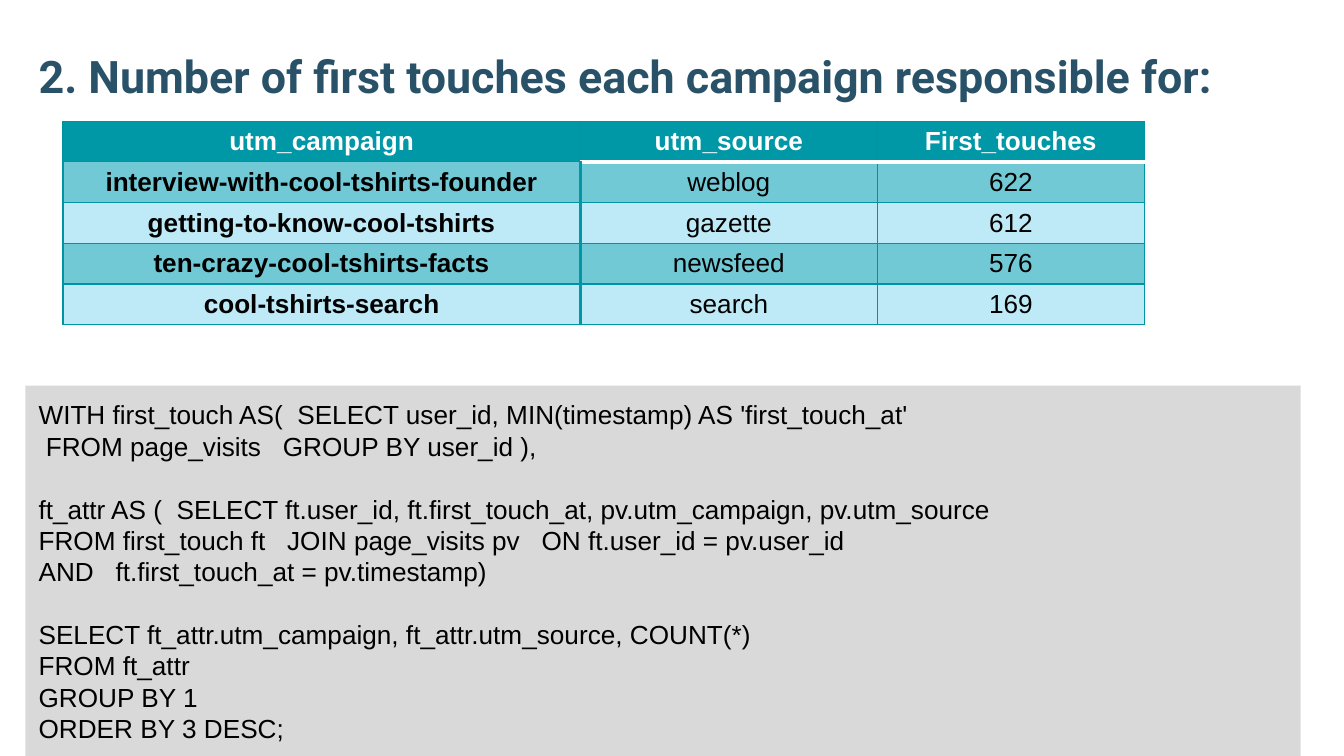
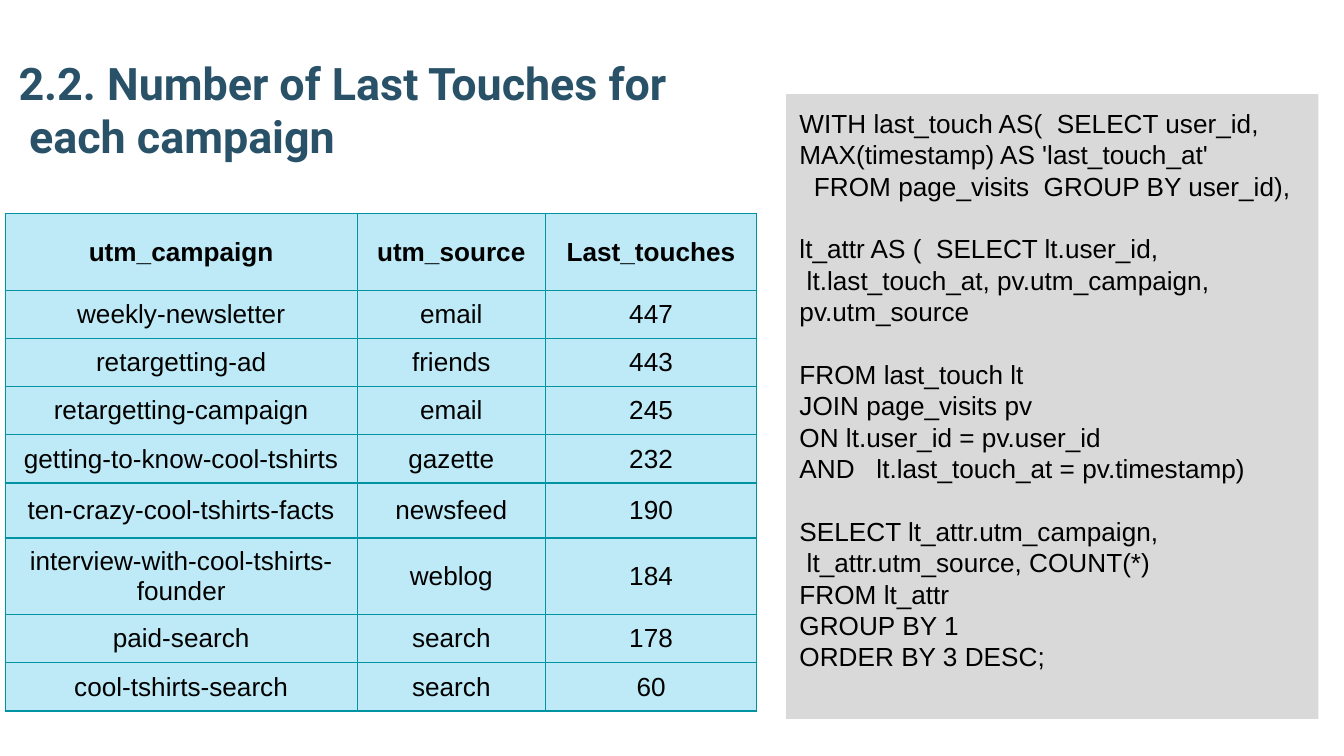
from dataclasses import dataclass
from typing import Any

from lxml.etree import SubElement
from pptx import Presentation
from pptx.dml.color import RGBColor
from pptx.enum.shapes import MSO_SHAPE
from pptx.enum.text import MSO_ANCHOR, MSO_AUTO_SIZE, PP_ALIGN
from pptx.oxml.ns import qn
from pptx.slide import Slide
from pptx.util import Cm, Pt

COLORS = {
    "title": "295269",
    "text": "000000",
    "white": "FFFFFF",
    "code": "D9D9D9",
    "header": "0097A7",
    "grid": "0094A3",
    "band": "71C9D5",
    "light": "BDEAF6",
}
TITLE_FONT = {"name": "Roboto", "size": Pt(24), "bold": True}
BODY_FONT = {"name": "Arial", "size": Pt(14), "bold": False}
PADDING = dict.fromkeys(
    ("margin_left", "margin_top", "margin_right", "margin_bottom"), Cm(0.25))
CODE_LINE = Pt(16.8)
THIN, THICK = Pt(0.75), Pt(2)


@dataclass
class Box:
    left: float
    top: float
    width: float
    height: float

    def lengths(self) -> tuple:
        return tuple(Cm(v) for v in (self.left, self.top, self.width, self.height))


@dataclass
class Title:
    box: Box
    lines: list[str]


@dataclass
class Code:
    box: Box
    text: str


@dataclass
class Grid:
    left: float
    top: float
    widths: list[float]
    heights: list[float]
    rows: list[tuple]
    banded: bool = False


@dataclass
class Page:
    title: Title
    grid: Grid
    code: Code


def rgb(name: str) -> RGBColor:
    return RGBColor.from_string(COLORS[name])


def apply(obj: Any, values: dict) -> None:
    """Set every attribute named in values on obj."""
    for name, value in values.items():
        setattr(obj, name, value)


def set_font(p: Any, values: dict, color: str) -> None:
    apply(p.font, values)
    p.font.color.rgb = rgb(color)


def add_title(s: Slide, title: Title) -> None:
    sp = s.shapes.title
    sp.left, sp.top, sp.width, sp.height = title.box.lengths()
    tf = sp.text_frame
    apply(tf, {**PADDING, "word_wrap": True, "auto_size": MSO_AUTO_SIZE.NONE,
               "vertical_anchor": MSO_ANCHOR.BOTTOM})
    tf.text = "\n".join(title.lines)
    for i, p in enumerate(tf.paragraphs):
        p.alignment = PP_ALIGN.LEFT
        if i:
            p._p.get_or_add_pPr().set("marL", str(Cm(0.2)))
        set_font(p, TITLE_FONT, "title")


def add_code(s: Slide, code: Code) -> None:
    """Draw a grey box of code; an empty line becomes space before the next one."""
    sp = s.shapes.add_shape(MSO_SHAPE.RECTANGLE, *code.box.lengths())
    sp.shadow.inherit = False
    sp.fill.solid()
    sp.fill.fore_color.rgb = rgb("code")
    sp.line.fill.background()
    tf = sp.text_frame
    apply(tf, {**PADDING, "word_wrap": True, "vertical_anchor": MSO_ANCHOR.TOP})
    p = tf.paragraphs[0]
    for i, block in enumerate(code.text.strip("\n").split("\n\n")):
        for j, line in enumerate(block.split("\n")):
            if i or j:
                p = tf.add_paragraph()
            p.text = line
            apply(p, {"alignment": PP_ALIGN.LEFT, "line_spacing": CODE_LINE})
            if i and not j:
                p.space_before = CODE_LINE
            set_font(p, BODY_FONT, "text")


def set_borders(cell: Any, special: dict[str, tuple]) -> None:
    """Give the cell thin grid lines, except on the sides listed in special."""
    tcPr = cell._tc.get_or_add_tcPr()
    for i, side in enumerate("LRTB"):
        color, width = special.get(side, ("grid", THIN))
        ln = tcPr.makeelement(qn(f"a:ln{side}"), {"w": str(width)})
        fill = SubElement(ln, qn("a:solidFill"))
        SubElement(fill, qn("a:srgbClr"), val=COLORS[color])
        tcPr.insert(i, ln)


def banded_borders(row: int, col: int) -> dict[str, tuple]:
    sides = {}
    if col and row < 2:
        sides["T" if row else "B"] = ("white", THICK)
    if row and col < 2:
        sides["L" if col else "R"] = ("header", THICK)
    return sides


def add_grid(s: Slide, grid: Grid) -> None:
    box = Box(grid.left, grid.top, sum(grid.widths), sum(grid.heights))
    table = s.shapes.add_table(len(grid.rows), len(grid.widths), *box.lengths()).table
    apply(table, {"first_row": False, "horz_banding": False})
    for column, width in zip(table.columns, grid.widths):
        column.width = Cm(width)
    for row, height in zip(table.rows, grid.heights):
        row.height = Cm(height)
    for i, values in enumerate(grid.rows):
        for j, value in enumerate(values):
            cell = table.cell(i, j)
            cell.vertical_anchor = MSO_ANCHOR.MIDDLE
            fill, color = "light", "text"
            if grid.banded:
                apply(cell, dict.fromkeys(PADDING, Cm(0.03)))
                if i == 0:
                    fill, color = "header", "white"
                elif i % 2:
                    fill = "band"
            cell.fill.solid()
            cell.fill.fore_color.rgb = rgb(fill)
            set_borders(cell, banded_borders(i, j) if grid.banded else {})
            p = cell.text_frame.paragraphs[0]
            p.text = value
            p.alignment = PP_ALIGN.CENTER
            bold = i == 0 or (grid.banded and j == 0)
            set_font(p, {**BODY_FONT, "bold": bold}, color)


FIRST_TOUCH_SQL = """
WITH first_touch AS(  SELECT user_id, MIN(timestamp) AS 'first_touch_at'
 FROM page_visits   GROUP BY user_id ),

ft_attr AS (  SELECT ft.user_id, ft.first_touch_at, pv.utm_campaign, pv.utm_source
FROM first_touch ft   JOIN page_visits pv   ON ft.user_id = pv.user_id
AND   ft.first_touch_at = pv.timestamp)

SELECT ft_attr.utm_campaign, ft_attr.utm_source, COUNT(*)
FROM ft_attr
GROUP BY 1
ORDER BY 3 DESC;
"""

LAST_TOUCH_SQL = """
WITH last_touch AS(  SELECT user_id,
MAX(timestamp) AS 'last_touch_at'
  FROM page_visits  GROUP BY user_id),

lt_attr AS (  SELECT lt.user_id,
 lt.last_touch_at, pv.utm_campaign,
pv.utm_source

FROM last_touch lt
JOIN page_visits pv
ON lt.user_id = pv.user_id
AND   lt.last_touch_at = pv.timestamp)

SELECT lt_attr.utm_campaign,
 lt_attr.utm_source, COUNT(*)
FROM lt_attr
GROUP BY 1
ORDER BY 3 DESC;
"""

PAGES = [
    Page(
        Title(Box(0.48, -0.15, 23.67, 2.34),
              ["2. Number of first touches each campaign responsible for:"]),
        Grid(1.19, 2.29, [9.78, 5.61, 5.05], [0.77] * 5, [
            ("utm_campaign", "utm_source", "First_touches"),
            ("interview-with-cool-tshirts-founder", "weblog", "622"),
            ("getting-to-know-cool-tshirts", "gazette", "612"),
            ("ten-crazy-cool-tshirts-facts", "newsfeed", "576"),
            ("cool-tshirts-search", "search", "169"),
        ], banded=True),
        Code(Box(0.48, 7.29, 24.1, 7), FIRST_TOUCH_SQL),
    ),
    Page(
        Title(Box(0.1, 1.12, 14.2, 2.21),
              ["2.2. Number of Last Touches for", "each campaign"]),
        Grid(0.1, 4.04, [6.65, 3.56, 3.99],
             [1.45, *[0.91] * 4, 1.04, 1.45, 0.91, 0.91], [
            ("utm_campaign", "utm_source", "Last_touches"),
            ("weekly-newsletter", "email", "447"),
            ("retargetting-ad", "friends", "443"),
            ("retargetting-campaign", "email", "245"),
            ("getting-to-know-cool-tshirts", "gazette", "232"),
            ("ten-crazy-cool-tshirts-facts", "newsfeed", "190"),
            ("interview-with-cool-tshirts-founder", "weblog", "184"),
            ("paid-search", "search", "178"),
            ("cool-tshirts-search", "search", "60"),
        ]),
        Code(Box(14.86, 1.78, 10.06, 11.81), LAST_TOUCH_SQL),
    ),
]


def main() -> None:
    prs = Presentation()
    prs.slide_width, prs.slide_height = Cm(25.4), Cm(14.29)
    for page in PAGES:
        s = prs.slides.add_slide(prs.slide_layouts[5])
        add_title(s, page.title)
        add_grid(s, page.grid)
        add_code(s, page.code)
    prs.save("out.pptx")


if __name__ == "__main__":
    main()
